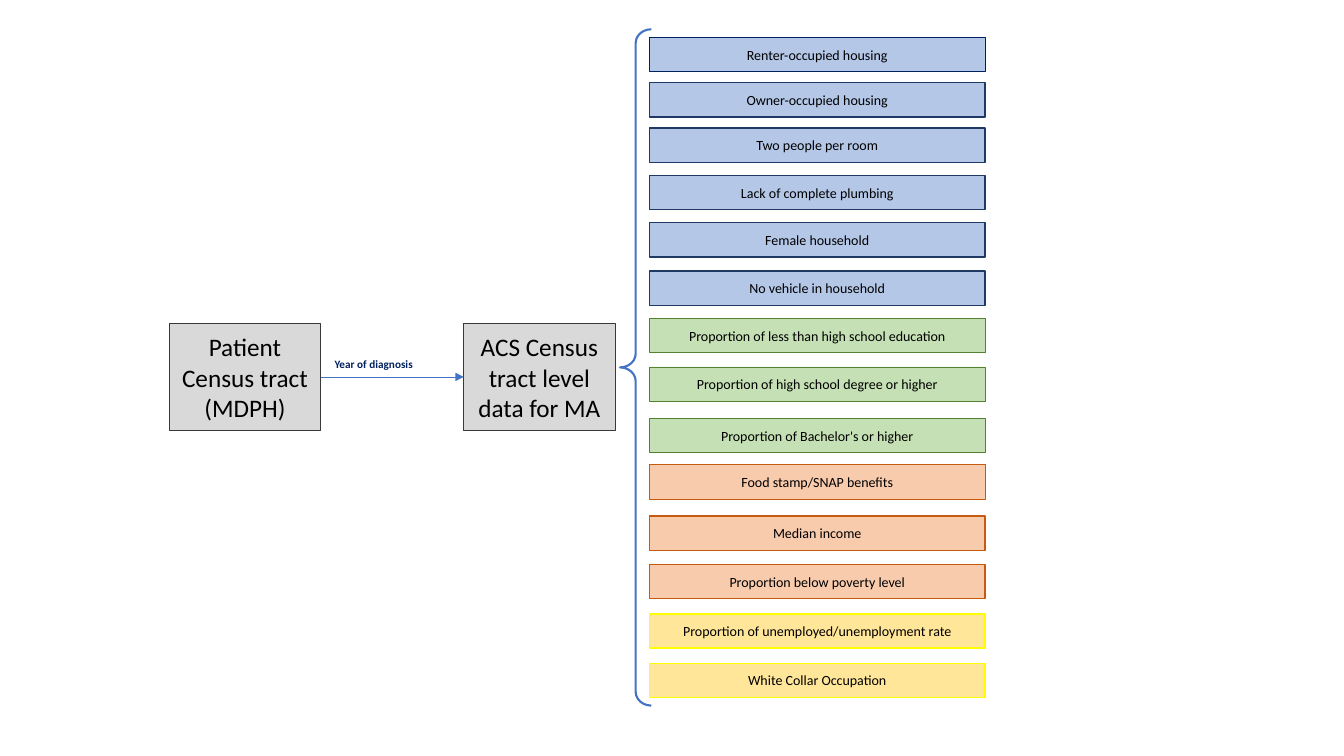
from lxml import etree
from pptx import Presentation
from pptx import util as u
from pptx.dml.color import RGBColor
from pptx.enum import shapes, text
from pptx.oxml.ns import qn

HUES = {
    "blue": "4472C4", "navy": "002060", "black": "000000",
    "gray": "D9D9D9", "edge": "3B3838",
    "house": "B4C7E7", "house edge": "203864",
    "school": "C5E0B4", "school edge": "548235",
    "money": "F8CBAD", "money edge": "C55A11",
    "job": "FFE699", "job edge": "FFFF00",
}
KIND = shapes.MSO_SHAPE


def hue(name):
    return RGBColor.from_string(HUES[name])


def add_box(spot, lines, size, fill, edge, width):
    box = slide.shapes.add_shape(KIND.RECTANGLE, *map(u.Inches, spot))
    box.shadow.inherit = False
    box.fill.solid()
    box.fill.fore_color.rgb = hue(fill)
    box.line.color.rgb = hue(edge)
    box.line.width = u.Pt(width)
    frame = box.text_frame
    frame.word_wrap = True
    frame.vertical_anchor = text.MSO_ANCHOR.MIDDLE
    frame.text = lines
    look = {"name": "Calibri", "size": u.Pt(size)}
    for para in frame.paragraphs:
        para.alignment = text.PP_ALIGN.CENTER
        for key, value in look.items():
            setattr(para.font, key, value)
        para.font.color.rgb = hue("black")
    return box


deck = Presentation()
deck.slide_width, deck.slide_height = u.Inches(13.33), u.Inches(7.5)
slide = deck.slides.add_slide(deck.slide_layouts[6])

# Brace around the measures
brace = slide.shapes.add_shape(
    KIND.LEFT_BRACE, *map(u.Inches, (6.15, 0.29, 0.31, 6.71)))
brace.shadow.inherit = False
brace.adjustments[0] = 0.44
brace.fill.background()
brace.line.color.rgb = hue("blue")
brace.line.width = u.Pt(1.5)

# Data sources
tract, survey = [
    add_box((left, 3.21, 1.5, 1.06), lines, 18, "gray", "edge", 0.5)
    for left, lines in [(1.68, "Patient Census tract\n(MDPH)"),
                        (4.6, "ACS Census tract level data for MA")]
]

# Arrow between the sources
arrow = slide.shapes.add_connector(shapes.MSO_CONNECTOR.STRAIGHT, 0, 0, 0, 0)
arrow.begin_connect(tract, 3)
arrow.end_connect(survey, 1)
arrow.line.color.rgb = hue("blue")
arrow.line.width = u.Pt(0.5)
etree.SubElement(arrow.line._get_or_add_ln(), qn("a:tailEnd"), type="triangle")
etree.SubElement(arrow._element.spPr, qn("a:effectLst"))

# Arrow label
label = slide.shapes.add_textbox(*map(u.Inches, (3.22, 3.5, 1.34, 0.24)))
label.text_frame.word_wrap = True
label.text_frame.text = "Year of diagnosis"
font = label.text_frame.paragraphs[0].font
for key, value in {"name": "Calibri", "size": u.Pt(8), "bold": True}.items():
    setattr(font, key, value)
font.color.rgb = hue("navy")

# Measures by theme: top, wording, edge width
themes = {
    "house": [
        (0.37, "Renter-occupied housing", 0.5),
        (0.82, "Owner-occupied housing", 1),
        (1.27, "Two people per room", 1),
        (1.74, "Lack of complete plumbing", 1),
        (2.21, "Female household", 1),
        (2.69, "No vehicle in household", 1),
    ],
    "school": [
        (3.16, "Proportion of less than high school education", 0.5),
        (3.64, "Proportion of high school degree or higher", 0.5),
        (4.15, "Proportion of Bachelor's or higher", 0.5),
    ],
    "money": [
        (4.61, "Food stamp/SNAP benefits", 0.5),
        (5.12, "Median income", 1),
        (5.6, "Proportion below poverty level", 1),
    ],
    "job": [
        (6.09, "Proportion of unemployed/unemployment rate", 1),
        (6.58, "White Collar Occupation", 1),
    ],
}
for theme, items in themes.items():
    for top, words, width in items:
        edge = "navy" if top == 0.37 else theme + " edge"
        add_box((6.44, top, 3.33, 0.34), words, 10, theme, edge, width)

deck.save("out.pptx")
